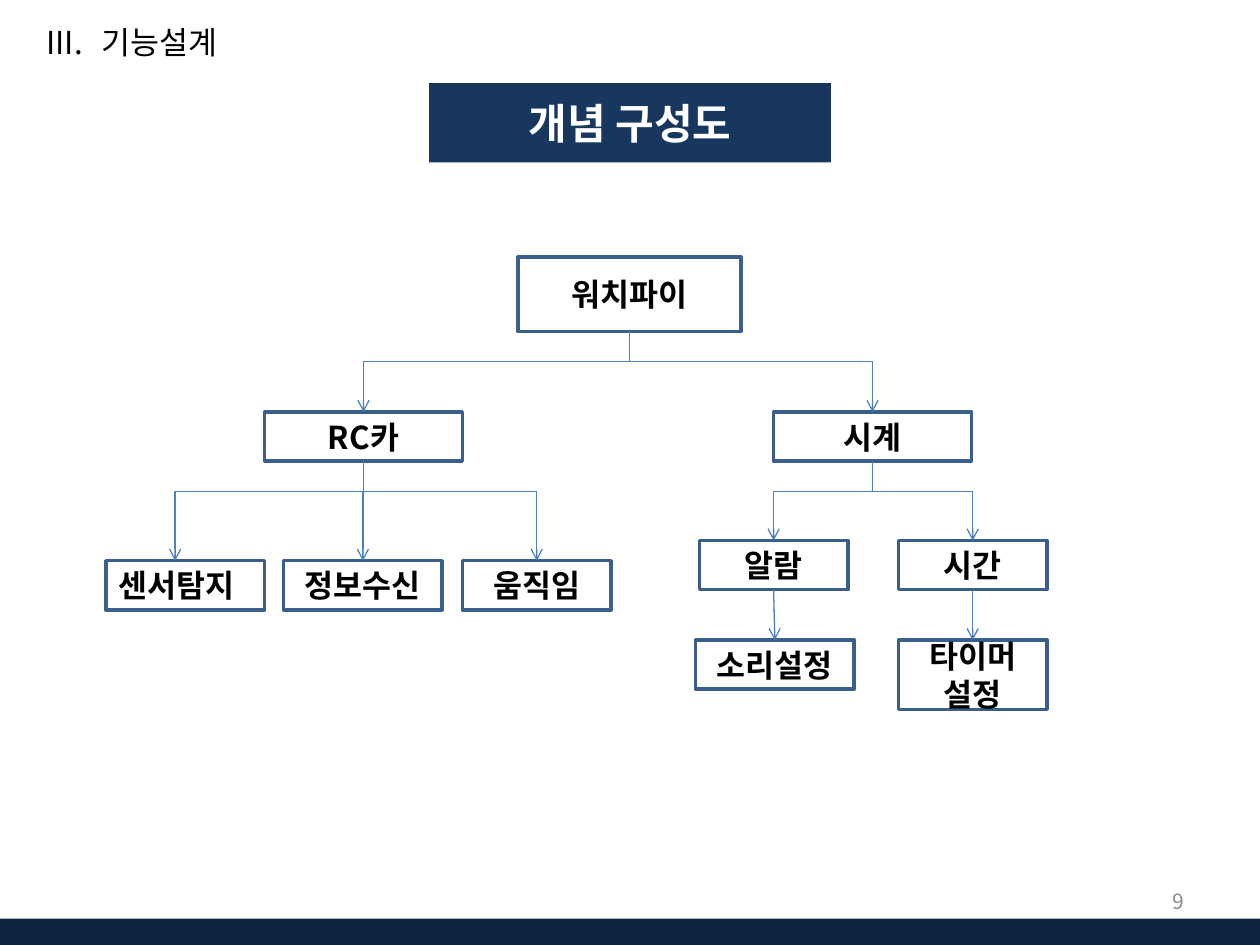
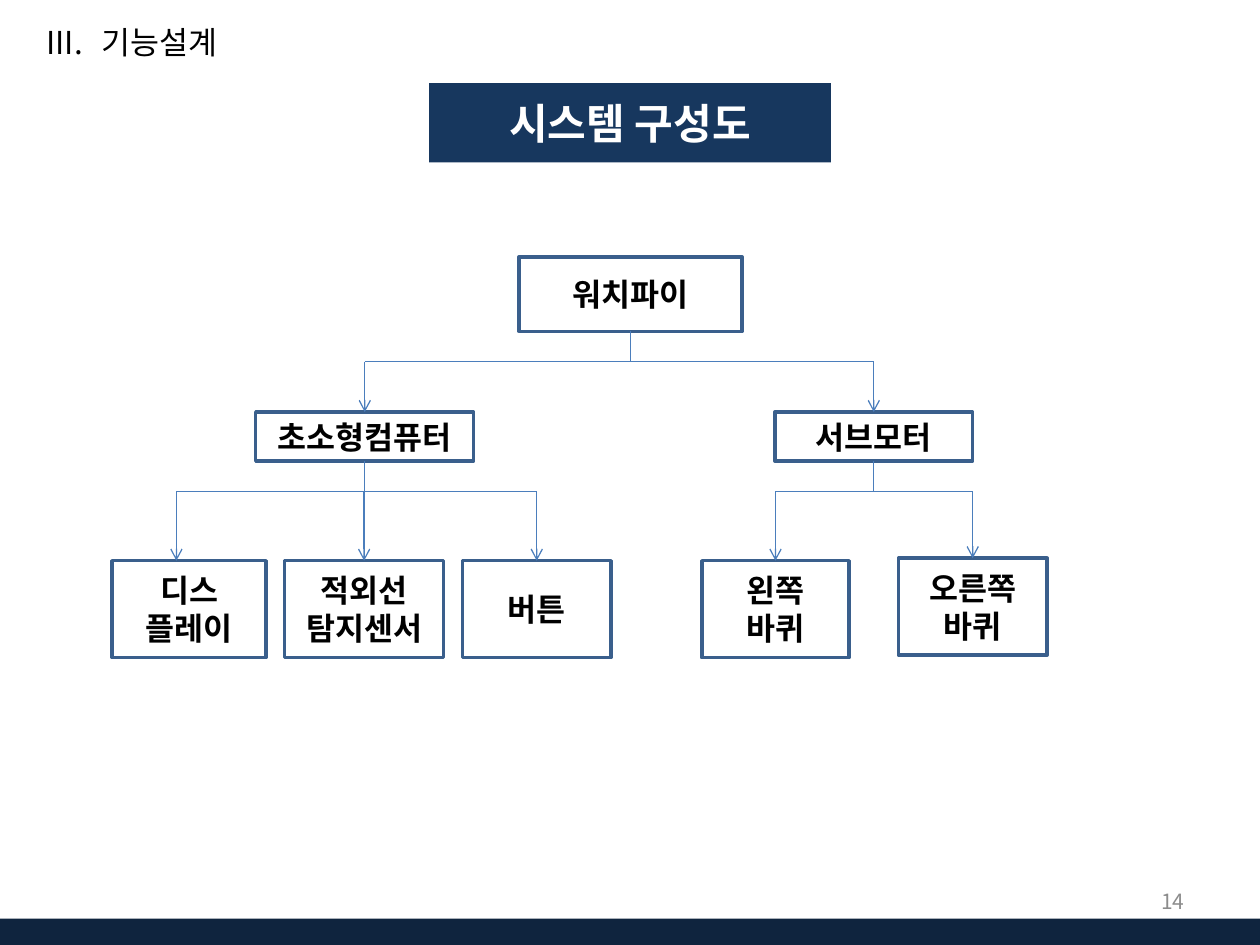
from dataclasses import dataclass, field

from lxml.etree import SubElement
from pptx import Presentation
from pptx.dml.color import RGBColor
from pptx.enum.shapes import MSO_CONNECTOR, MSO_SHAPE
from pptx.enum.text import MSO_ANCHOR, PP_ALIGN
from pptx.oxml.ns import qn
from pptx.util import Inches, Pt

RECT = MSO_SHAPE.RECTANGLE
STRAIGHT = MSO_CONNECTOR.STRAIGHT
TOP, MIDDLE = MSO_ANCHOR.TOP, MSO_ANCHOR.MIDDLE
LEFT, CENTER, RIGHT = PP_ALIGN.LEFT, PP_ALIGN.CENTER, PP_ALIGN.RIGHT


@dataclass(frozen=True)
class Theme:
    font: str = "Noto Sans CJK KR"
    ink: str = "000000"
    paper: str = "FFFFFF"
    band: str = "0F243E"
    title: str = "17375E"
    edge: str = "3A5F8C"
    link: str = "4B7EBC"
    gray: str = "8C8C8C"
    head: int = 24
    body: int = 18
    small: int = 12
    rim: float = 2
    thin: float = 0.75


THEME = Theme()
STEM = 0.24  # from a parent's lower edge to its branch line


@dataclass
class Node:
    """A box in the tree: label, place inside the tree, and child nodes."""
    label: str
    x: float
    y: float
    w: float
    h: float = 0.39
    kids: list = field(default_factory=list)
    drop: float = None  # x of the incoming arrow, if not the centre
    align: int = CENTER

    @property
    def mid(self):
        return self.x + self.w / 2

    @property
    def entry(self):
        return self.mid if self.drop is None else self.drop

    @property
    def base(self):
        return self.y + self.h


def color(code):
    return RGBColor.from_string(code)


def write(frame, text, size=THEME.body, ink=THEME.ink, bold=False,
          align=LEFT, anchor=MIDDLE, start=None):
    """Fill a text frame, one paragraph a line; start numbers it in Roman."""
    frame.word_wrap = True
    frame.vertical_anchor = anchor
    for i, line in enumerate(text.split("\n")):
        para = frame.add_paragraph() if i else frame.paragraphs[0]
        para.alignment = align
        if start:
            props = para._p.get_or_add_pPr()
            props.set("marL", str(Inches(0.44)))
            props.set("indent", str(Inches(-0.44)))
            SubElement(props, qn("a:buAutoNum"), type="romanUcPeriod",
                       startAt=str(start))
        run = para.add_run()
        run.text = line
        font = run.font
        font.size, font.bold, font.name = Pt(size), bold, THEME.font
        font.color.rgb = color(ink)
        SubElement(run._r.get_or_add_rPr(), qn("a:ea"), typeface=THEME.font)


def block(slide, box, fill, edge=None):
    shape = slide.shapes.add_shape(RECT, *map(Inches, box))
    shape.shadow.inherit = False
    shape.fill.solid()
    shape.fill.fore_color.rgb = color(fill)
    if edge:
        shape.line.color.rgb = color(edge)
        shape.line.width = Pt(THEME.rim)
    else:
        shape.line.fill.background()
    return shape


def label(slide, box, text, **fmt):
    area = slide.shapes.add_textbox(*map(Inches, box))
    write(area.text_frame, text, **fmt)


def link(slide, x1, y1, x2, y2, arrow=False):
    line = slide.shapes.add_connector(STRAIGHT, *map(Inches, (x1, y1, x2, y2)))
    line.line.color.rgb = color(THEME.link)
    line.line.width = Pt(THEME.thin)
    if arrow:
        SubElement(line.line._get_or_add_ln(), qn("a:tailEnd"), type="arrow")
    SubElement(line._element.spPr, qn("a:effectLst"))


def header(slide, box, title):
    """Section name at the left, slide title on a centred plate."""
    x, y, w, _ = box
    label(slide, (x + 0.27, y + 0.13, 4.1, 0.4), "기능설계", anchor=TOP, start=3)
    wide = 3.19
    plate = block(slide, (x + (w - wide) / 2, y + 0.66, wide, 0.63), THEME.title)
    write(plate.text_frame, title, size=THEME.head, ink=THEME.paper,
          bold=True, align=CENTER)


def footer(slide, box, number):
    """Page number above the dark band."""
    x, y, w, h = box
    label(slide, (x + w - 2.83, y, 2.33, 0.4), str(number),
          size=THEME.small, ink=THEME.gray, align=RIGHT)
    block(slide, (x, y + 0.34, w, h - 0.34), THEME.band)


def tree(slide, box, node):
    """Draw a node, then its branches and everything below it."""
    left, top = box[:2]
    shape = block(slide, (left + node.x, top + node.y, node.w, node.h),
                  THEME.paper, THEME.edge)
    write(shape.text_frame, node.label, bold=True, align=node.align)
    for kid in node.kids:
        tree(slide, box, kid)

    def join(x1, y1, x2, y2, arrow=False):
        link(slide, left + x1, top + y1, left + x2, top + y2, arrow)

    if len(node.kids) == 1:
        kid = node.kids[0]
        join(node.mid, node.base, kid.entry, kid.y, True)
    elif node.kids:
        bar = node.base + STEM
        ends = [kid.entry for kid in node.kids]
        join(node.mid, node.base, node.mid, bar)
        join(min(ends), bar, max(ends), bar)
        for kid in node.kids:
            join(kid.entry, bar, kid.entry, kid.y, True)


def page(deck, title, number, box, root):
    slide = deck.slides.add_slide(deck.slide_layouts[6])
    footer(slide, (0, 6.95, 10, 0.6), number)
    header(slide, (0, 0, 10, 1.3), title)
    tree(slide, box, root)


def root(*kids):
    return Node("워치파이", 3.27, 0, 1.77, 0.59, list(kids))


# Rows of the trees, measured from the top of the tree
ROW2, ROW3, LEAF, ROW4 = 1.23, 2.25, 2.41, 3.04
TALL = 0.77

CONCEPT = root(
    Node("RC카", 1.26, ROW2, 1.57, kids=[
        Node("센서탐지", 0, LEAF, 1.26, drop=0.55, align=LEFT),
        Node("정보수신", 1.41, LEAF, 1.26),
        Node("움직임", 2.83, LEAF, 1.18),
    ]),
    Node("시계", 5.3, ROW2, 1.57, kids=[
        Node("알람", 4.71, ROW3, 1.18, kids=[
            Node("소리설정", 4.68, ROW4, 1.26)]),
        Node("시간", 6.29, ROW3, 1.18, kids=[
            Node("타이머\n설정", 6.29, ROW4, 1.18, 0.55)]),
    ]),
)

SYSTEM = root(
    Node("초소형컴퓨터", 1.18, ROW2, 1.73, kids=[
        Node("디스\n플레이", 0.04, LEAF, 1.22, TALL, drop=0.55),
        Node("적외선 탐지센서", 1.41, LEAF, 1.26, TALL),
        Node("버튼", 2.82, LEAF, 1.18, TALL),
    ]),
    Node("서브모터", 5.3, ROW2, 1.57, kids=[
        Node("왼쪽\n바퀴", 4.72, LEAF, 1.17, TALL),
        Node("오른쪽 바퀴", 6.28, LEAF - 0.02, 1.18, TALL),
    ]),
)


def main():
    deck = Presentation()
    deck.slide_width, deck.slide_height = Inches(10), Inches(7.5)
    page(deck, "개념 구성도", 9, (0.84, 2.04, 7.47, 3.6), CONCEPT)
    page(deck, "시스템 구성도", 14, (0.85, 2.04, 7.47, 3.2), SYSTEM)
    deck.save("out.pptx")


if __name__ == "__main__":
    main()
